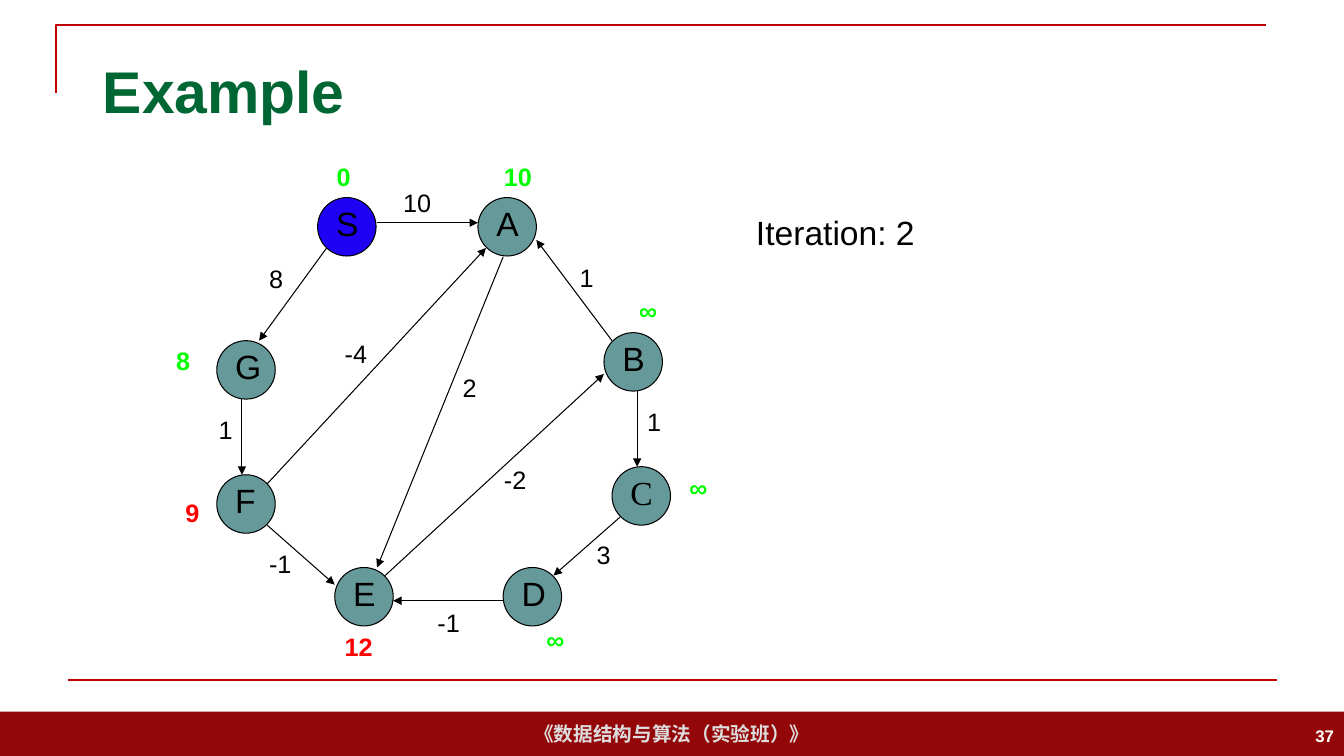
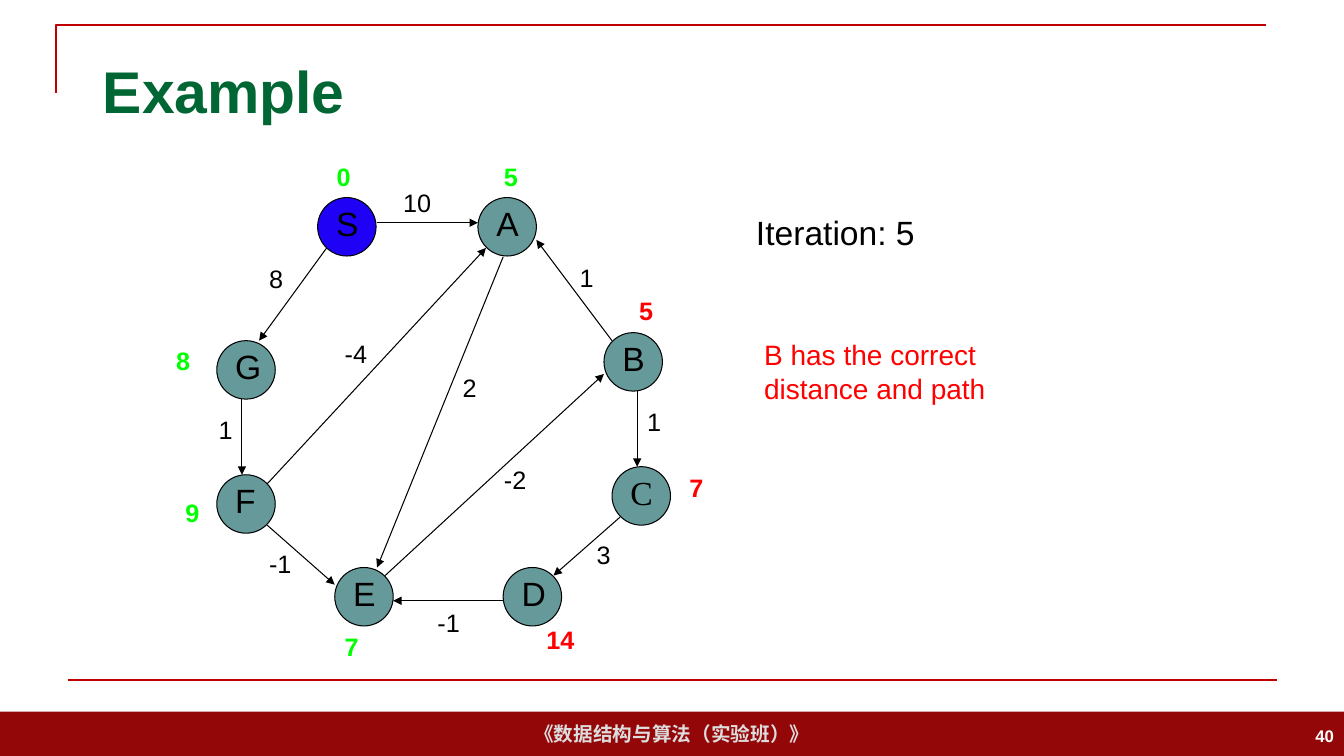
from lxml import etree
from pptx import Presentation
from pptx import util as u
from pptx.dml.color import RGBColor
from pptx.enum import shapes, text
from pptx.oxml import ns

BAND_RED = RGBColor(0x94, 0x07, 0x09)
RULE_RED = RGBColor(0xC0, 0x00, 0x00)
TITLE_GREEN = RGBColor(0x00, 0x66, 0x33)
COURSE_GREY = RGBColor(0xDD, 0xDD, 0xDD)
NODE_TEAL = RGBColor(0x66, 0x99, 0x99)
SOURCE_BLUE = RGBColor(0x1F, 0x02, 0xF6)
SETTLED = RGBColor(0x00, 0xFF, 0x00)
CHANGED = RGBColor(0xFF, 0x00, 0x00)
BLACK = RGBColor(0x00, 0x00, 0x00)
WHITE = RGBColor(0xFF, 0xFF, 0xFF)

WIDTH, HEIGHT = 13.33, 7.5
BAND_HEIGHT = 0.44
RULE_LENGTH = 12
NODE_SIZE = 0.58
LABEL_AREA = (0.5, 0.4)

COURSE = "《数据结构与算法（实验班）》"
TITLE = "Example"

NODES = {
    "G": (2.15, 3.38),
    "S": (3.15, 1.96),
    "F": (2.15, 4.71),
    "E": (3.32, 5.63),
    "A": (4.74, 1.96),
    "D": (4.99, 5.63),
    "B": (5.99, 3.3),
    "C": (6.07, 4.63),
}

EDGES = [
    dict(weight="10", start=(3.74, 2.21), end=(4.74, 2.21), corner=(3.9, 1.81)),
    dict(weight="1", start=(6.07, 3.38), end=(5.32, 2.38), corner=(5.65, 2.55)),
    dict(weight="1", start=(6.32, 3.88), end=(6.32, 4.63), corner=(6.32, 3.98)),
    dict(weight="3", start=(6.15, 5.13), end=(5.49, 5.71), corner=(5.82, 5.3)),
    dict(weight="-1", start=(4.99, 5.96), end=(3.9, 5.96), corner=(4.24, 5.98)),
    dict(weight="-1", start=(2.65, 5.21), end=(3.32, 5.8), corner=(2.57, 5.39)),
    dict(weight="1", start=(2.4, 3.96), end=(2.4, 4.71), corner=(2.07, 4.06)),
    dict(weight="8", start=(3.24, 2.46), end=(2.57, 3.38), corner=(2.57, 2.56)),
    dict(weight="-4", start=(2.65, 4.8), end=(4.82, 2.46), corner=(3.32, 3.31)),
    dict(weight="2", start=(4.99, 2.55), end=(3.74, 5.63), corner=(4.49, 3.64)),
    dict(weight="-2", start=(3.82, 5.71), end=(5.99, 3.71), corner=(4.9, 4.56)),
]

DISTANCE_CORNERS = {
    "S": (3.24, 1.55),
    "A": (4.9, 1.55),
    "B": (6.24, 2.88),
    "C": (6.74, 4.64),
    "D": (5.32, 6.14),
    "E": (3.32, 6.21),
    "F": (1.74, 4.88),
    "G": (1.65, 3.38),
}

ITERATIONS = [
    {
        "page": "37",
        "heading": "Iteration: 2",
        "distances": dict(S="0", A="10", B="∞", C="∞", D="∞", E="12", F="9", G="8"),
        "changed": "EF",
        "remark": None,
    },
    {
        "page": "40",
        "heading": "Iteration: 5",
        "distances": dict(S="0", A="5", B="5", C="7", D="14", E="7", F="9", G="8"),
        "changed": "BCD",
        "remark": "B has the correct distance and path",
    },
]


def inches(*lengths):
    return [u.Inches(length) for length in lengths]


def write(frame, words, size=18, color=BLACK, bold=False, font="Arial",
          align=text.PP_ALIGN.LEFT, anchor=text.MSO_ANCHOR.TOP):
    frame.word_wrap = True
    frame.vertical_anchor = anchor
    paragraph = frame.paragraphs[0]
    paragraph.alignment = align
    run = paragraph.add_run()
    run.text = words
    run.font.size = u.Pt(size)
    run.font.name = font
    run.font.bold = bold
    run.font.color.rgb = color


def label(slide, words, corner, area=LABEL_AREA, **style):
    box = slide.shapes.add_textbox(*inches(*corner, *area))
    write(box.text_frame, words, **style)


def connect(slide, start, end, color=BLACK, width=0.75, arrow=True):
    line = slide.shapes.add_connector(
        shapes.MSO_CONNECTOR.STRAIGHT, *inches(*start, *end))
    line.line.color.rgb = color
    line.line.width = u.Pt(width)
    properties = line.element.spPr
    if arrow:
        etree.SubElement(properties.find(ns.qn("a:ln")), ns.qn("a:tailEnd"),
                         type="triangle")
    etree.SubElement(properties, ns.qn("a:effectLst"))
    return line


def build_frame(slide, layout):
    band = slide.shapes.add_shape(
        shapes.MSO_SHAPE.RECTANGLE,
        *inches(0, HEIGHT - BAND_HEIGHT, WIDTH, BAND_HEIGHT))
    band.shadow.inherit = False
    band.fill.solid()
    band.fill.fore_color.rgb = BAND_RED
    band.line.fill.background()
    write(band.text_frame, COURSE, size=14, color=COURSE_GREY, bold=True,
          align=text.PP_ALIGN.CENTER, anchor=text.MSO_ANCHOR.MIDDLE)

    left, top, drop = 0.56, 0.25, 0.67
    outline = slide.shapes.build_freeform(*inches(left, top + drop))
    outline.add_line_segments(
        [inches(left, top), inches(left + RULE_LENGTH, top)], close=False)
    bracket = outline.convert_to_shape()
    bracket.shadow.inherit = False
    bracket.fill.background()
    bracket.line.color.rgb = RULE_RED
    bracket.line.width = u.Pt(1.5)

    rule = connect(slide, (0.67, 6.75), (0.67 + RULE_LENGTH, 6.75),
                   color=RULE_RED, width=1.5, arrow=False)
    for part in (band, bracket, rule):
        layout.shapes.element.append(part.element)


def draw_node(slide, name, corner):
    node = slide.shapes.add_shape(
        shapes.MSO_SHAPE.OVAL, *inches(*corner, NODE_SIZE, NODE_SIZE))
    node.shadow.inherit = False
    node.fill.solid()
    node.fill.fore_color.rgb = SOURCE_BLUE if name == "S" else NODE_TEAL
    node.line.color.rgb = BLACK
    node.line.width = u.Pt(0.75)
    frame = node.text_frame
    frame.margin_left, frame.margin_top, frame.margin_right, frame.margin_bottom = inches(
        0.1, 0, 0, 0.08)
    write(frame, name, size=24, anchor=text.MSO_ANCHOR.MIDDLE,
          font="Times New Roman" if name == "C" else "Arial")


def draw_iteration(slide, step):
    title = slide.shapes.title
    title.left, title.top, title.width, title.height = inches(0.92, 0.4, 11.5, 0.99)
    write(title.text_frame, TITLE, size=42, color=TITLE_GREEN, bold=True,
          anchor=text.MSO_ANCHOR.MIDDLE)
    label(slide, step["page"], (WIDTH - 3, 7.1), (3, 0.4), size=12, color=WHITE,
          bold=True, align=text.PP_ALIGN.RIGHT, anchor=text.MSO_ANCHOR.MIDDLE)

    for name, corner in NODES.items():
        draw_node(slide, name, corner)
    for edge in EDGES:
        connect(slide, edge["start"], edge["end"])
        label(slide, edge["weight"], edge["corner"])
    for name, distance in step["distances"].items():
        label(slide, distance, DISTANCE_CORNERS[name], bold=True,
              color=CHANGED if name in step["changed"] else SETTLED)

    label(slide, step["heading"], (7.4, 2.05), (2.33, 0.5), size=24)
    if step["remark"]:
        label(slide, step["remark"], (7.48, 3.3), (2.42, 0.77), size=20, color=CHANGED)


def main():
    deck = Presentation()
    deck.slide_width, deck.slide_height = inches(WIDTH, HEIGHT)
    layout = deck.slide_layouts.get_by_name("Title Only")
    for number, step in enumerate(ITERATIONS):
        slide = deck.slides.add_slide(layout)
        if number == 0:
            build_frame(slide, layout)
        draw_iteration(slide, step)
    deck.save("out.pptx")


if __name__ == "__main__":
    main()
